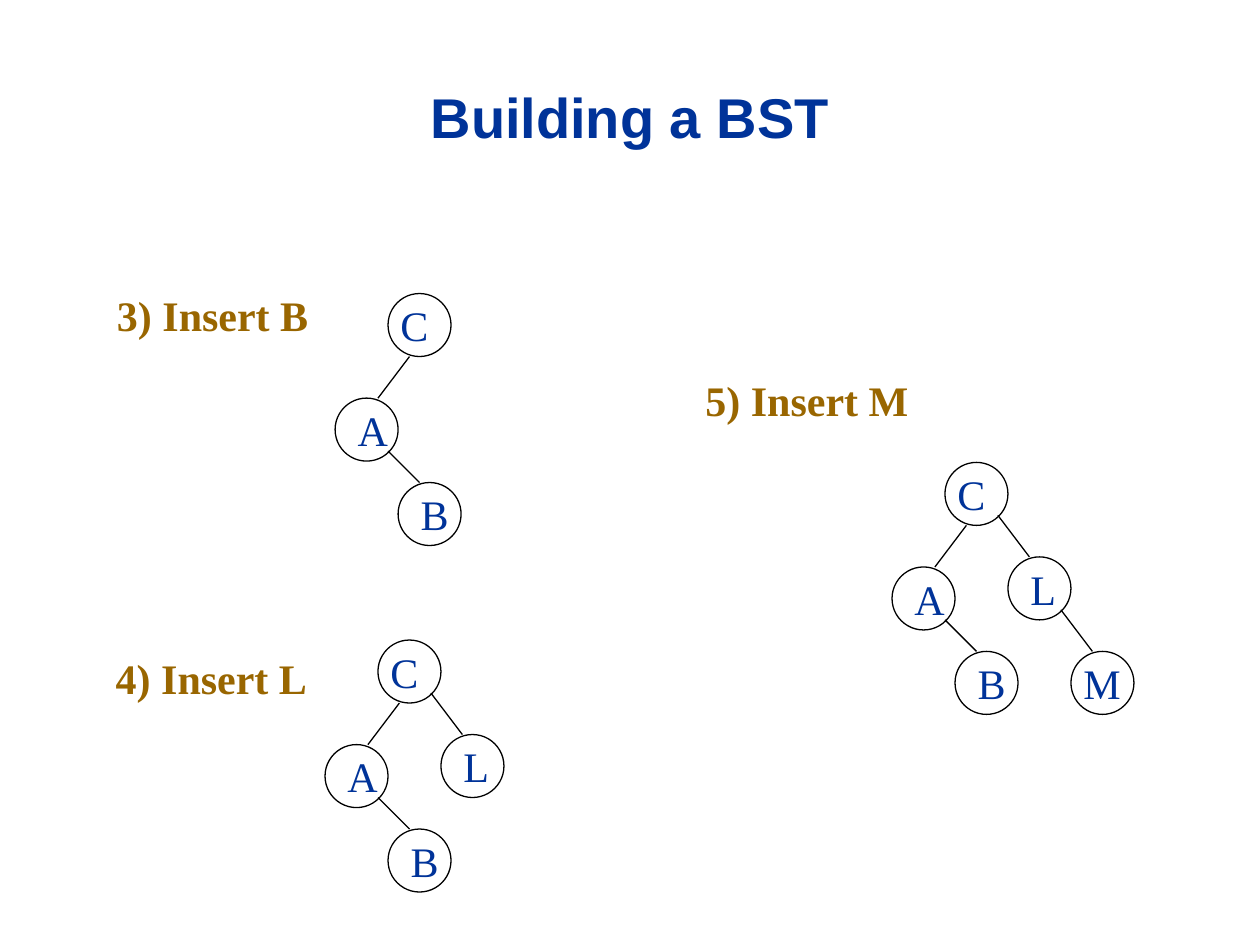
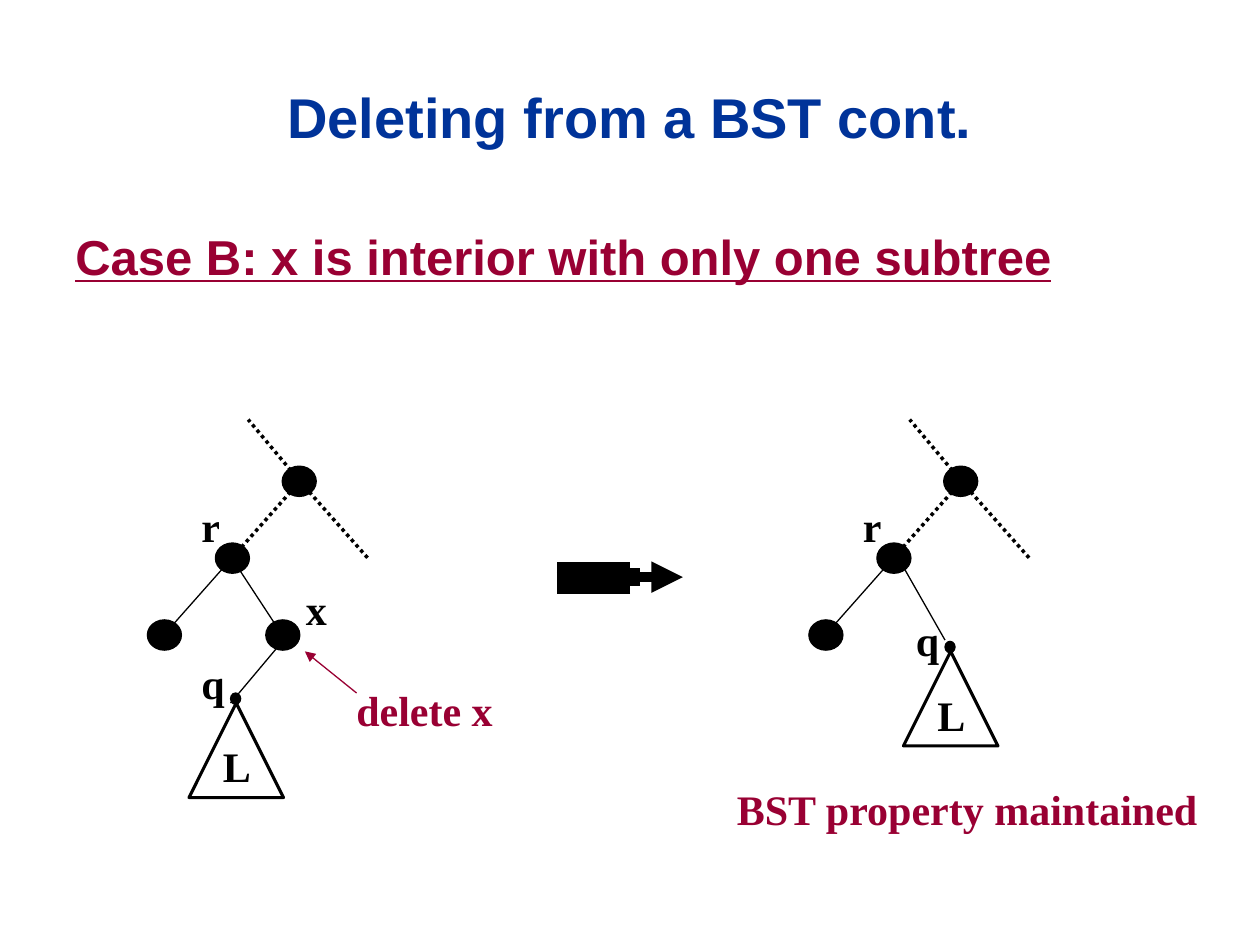
from lxml.etree import SubElement
from pptx import Presentation
from pptx.dml.color import RGBColor
from pptx.enum.dml import MSO_LINE
from pptx.enum.shapes import MSO_CONNECTOR, MSO_SHAPE
from pptx.enum.text import MSO_ANCHOR, MSO_AUTO_SIZE, PP_ALIGN
from pptx.oxml.ns import qn
from pptx.util import Inches, Pt

COLORS = {"blue": "003399", "brown": "996600", "red": "990033", "black": "000000"}
SERIF = "Times New Roman"
SANS = "Arial"


def write_text(box, text, color, size=24, font=SERIF, bold=True):
    para = box.text_frame.paragraphs[0]
    span = para.add_run()
    span.text = text
    span.font.name = font
    span.font.size = Pt(size)
    span.font.bold = bold
    span.font.color.rgb = RGBColor.from_string(COLORS[color])
    box.text_frame.word_wrap = size != 24
    if size == 24:
        box.text_frame.auto_size = MSO_AUTO_SIZE.SHAPE_TO_FIT_TEXT
    return para


def add_line(page, start, end, width=0.75, color="black", dash=None, arrow=False):
    line = page.shapes.add_connector(
        MSO_CONNECTOR.STRAIGHT, *[Inches(value) for value in (*start, *end)])
    line.line.color.rgb = RGBColor.from_string(COLORS[color])
    line.line.width = Pt(width)
    if dash:
        line.line.dash_style = dash
    if arrow:
        SubElement(line.line._get_or_add_ln(), qn("a:tailEnd"), type="triangle")
    SubElement(line._element.spPr, qn("a:effectLst"))


deck = Presentation()
deck.slide_width = Inches(10)
deck.slide_height = Inches(7.5)

pages = []
for heading in ["Building a BST", "Deleting from a BST cont."]:
    page = deck.slides.add_slide(deck.slide_layouts[5])
    title = page.shapes.title
    title.left, title.top = Inches(0.5), Inches(0.3)
    title.width, title.height = Inches(9), Inches(1.25)
    title.text_frame.vertical_anchor = MSO_ANCHOR.MIDDLE
    para = write_text(title, heading, "blue", 32, SANS)
    para.alignment = PP_ALIGN.CENTER
    pages.append(page)
building, deleting = pages
outlines = []

# letter: node offset, letter indent, letter width, edge to the parent
nodes = {
    "C": ((0, 0), 0, 0.42, None),
    "A": ((-0.42, 0.83), 0.08, 0.44, ((-0.08, 0.83), (0.17, 0.5))),
    "B": ((0.08, 1.5), 0.08, 0.42, ((0.25, 1.5), (0, 1.25))),
    "L": ((0.5, 0.75), 0.08, 0.4, ((0.67, 0.75), (0.42, 0.42))),
    "M": ((1, 1.5), 0, 0.5, ((1.17, 1.5), (0.92, 1.17))),
}
steps = [
    ("3) Insert B", 0.83, 2.25, 1.72, "CAB", 3.08, 2.33),
    ("4) Insert L", 0.82, 5.13, 1.72, "CABL", 3, 5.08),
    ("5) Insert M", 5.5, 2.92, 1.81, "CABLM", 7.5, 3.67),
]
for step, left, top, width, letters, root_x, root_y in steps:
    box = building.shapes.add_textbox(Inches(left), Inches(top), Inches(width), Inches(0.5))
    write_text(box, step, "brown")
    for letter in letters:
        (across, down), indent, width, edge = nodes[letter]
        x, y = root_x + across, root_y + down
        circle = building.shapes.add_shape(
            MSO_SHAPE.OVAL, Inches(x), Inches(y), Inches(0.5), Inches(0.5))
        outlines.append((circle, False, 0.75))
        box = building.shapes.add_textbox(
            Inches(x + indent), Inches(y), Inches(width), Inches(0.5))
        write_text(box, letter, "blue", bold=False)
        if edge:
            start, end = [(root_x + dx, root_y + dy) for dx, dy in edge]
            add_line(building, start, end)

case = deleting.shapes.add_textbox(Inches(0.5), Inches(1.75), Inches(9), Inches(0.6))
para = write_text(case, "Case B: x is interior with only one subtree", "red", 28, SANS)
para.space_before = Pt(5.6)
para.runs[0].font.underline = True

add_line(deleting, (4.42, 4.58), (5.42, 4.58), 6, arrow=True)
for end_x, y, width in [(5, 4.67, 6), (5, 4.5, 6), (5.08, 4.58, 10.25)]:
    add_line(deleting, (end_x, y), (4.42, y), width)

labels = [
    ("x", 2.33, 4.58, 0.37, "black"),
    ("delete x", 2.73, 5.38, 1.28, "red"),
    ("BST property maintained", 5.75, 6.17, 3.87, "red"),
]
dots = [(2.24, 3.7), (1.71, 4.31), (1.17, 4.92)]
for shift, subtree_x, subtree_y, q_y, extra_dots in [
        (0, 1.5, 5.58, 5.17, [(2.11, 4.92)]), (5.25, 7.17, 5.17, 4.83, [])]:
    for x, y in dots + extra_dots:
        dot = deleting.shapes.add_shape(
            MSO_SHAPE.OVAL, Inches(x + shift), Inches(y), Inches(0.27), Inches(0.24))
        outlines.append((dot, True, 0.75))
    add_line(deleting, (1.3 + shift, 5.04), (1.84 + shift, 4.43))
    for x, y in [(1.84, 4.43), (2.92, 4.43), (1.97, 3.33)]:
        add_line(deleting, (2.38 + shift, 3.82), (x + shift, y), 2, dash=MSO_LINE.ROUND_DOT)
    tip = deleting.shapes.add_shape(
        MSO_SHAPE.OVAL, Inches(subtree_x + 0.33), Inches(subtree_y - 0.08),
        Inches(0.08), Inches(0.09))
    outlines.append((tip, True, 0.75))
    subtree = deleting.shapes.add_shape(
        MSO_SHAPE.ISOSCELES_TRIANGLE, Inches(subtree_x), Inches(subtree_y),
        Inches(0.75), Inches(0.75))
    outlines.append((subtree, False, 1.75))
    labels += [
        ("L", subtree_x + 0.17, subtree_y + 0.25, 0.42, "black"),
        ("q", subtree_x, q_y, 0.39, "black"),
        ("r", 1.5 + shift, 3.92, 0.35, "black"),
    ]

add_line(deleting, (2.24, 5.04), (1.84, 4.43))
add_line(deleting, (1.83, 5.58), (2.25, 5.08))
add_line(deleting, (7.5, 5.08), (7.17, 4.5))
add_line(deleting, (2.83, 5.5), (2.42, 5.17), color="red", arrow=True)

for text, left, top, width, color in labels:
    box = deleting.shapes.add_textbox(Inches(left), Inches(top), Inches(width), Inches(0.5))
    write_text(box, text, color)

for shape, filled, width in outlines:
    shape.shadow.inherit = False
    shape.line.color.rgb = RGBColor.from_string(COLORS["black"])
    shape.line.width = Pt(width)
    if filled:
        shape.fill.solid()
        shape.fill.fore_color.rgb = RGBColor.from_string(COLORS["black"])
    else:
        shape.fill.background()

deck.save("out.pptx")
